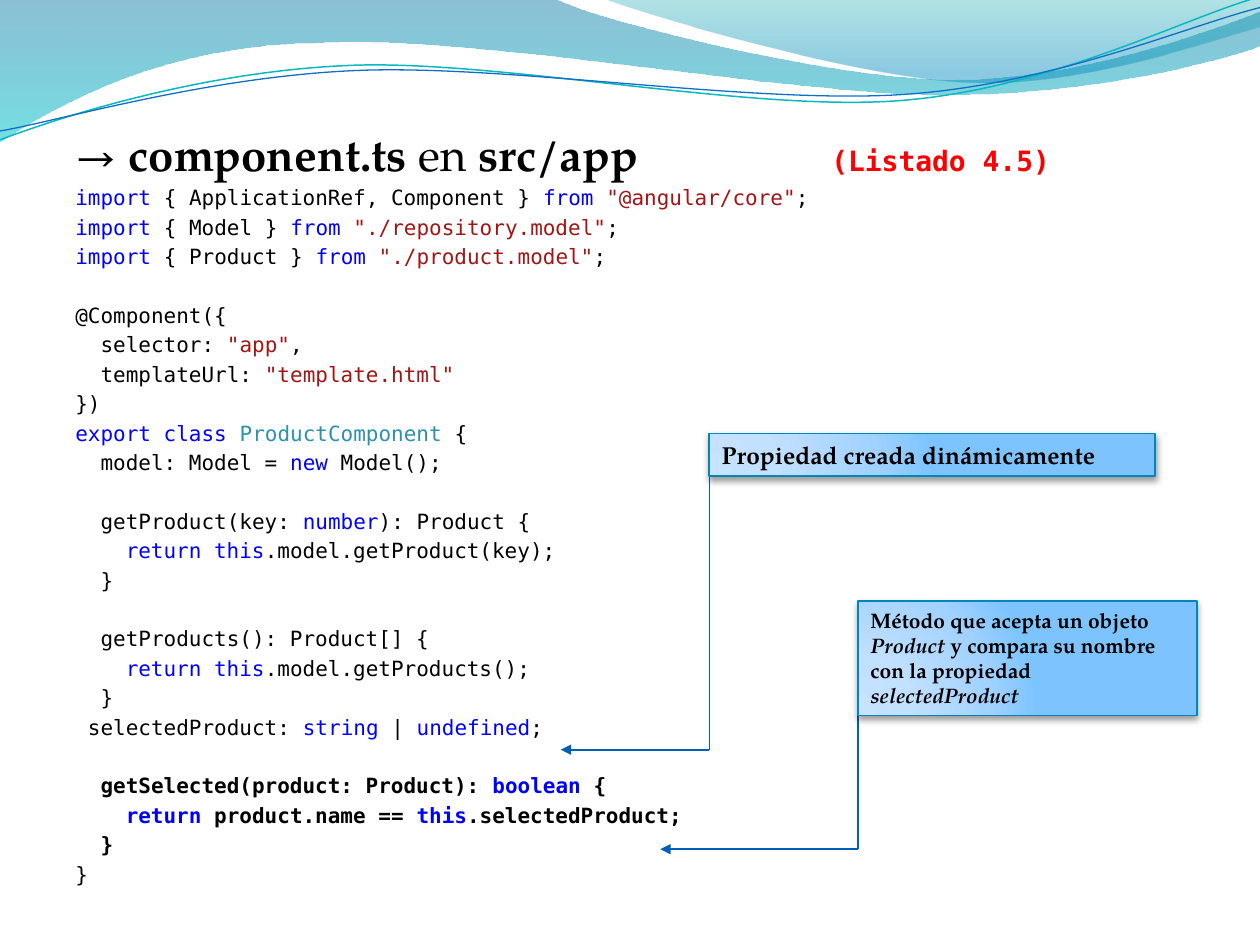
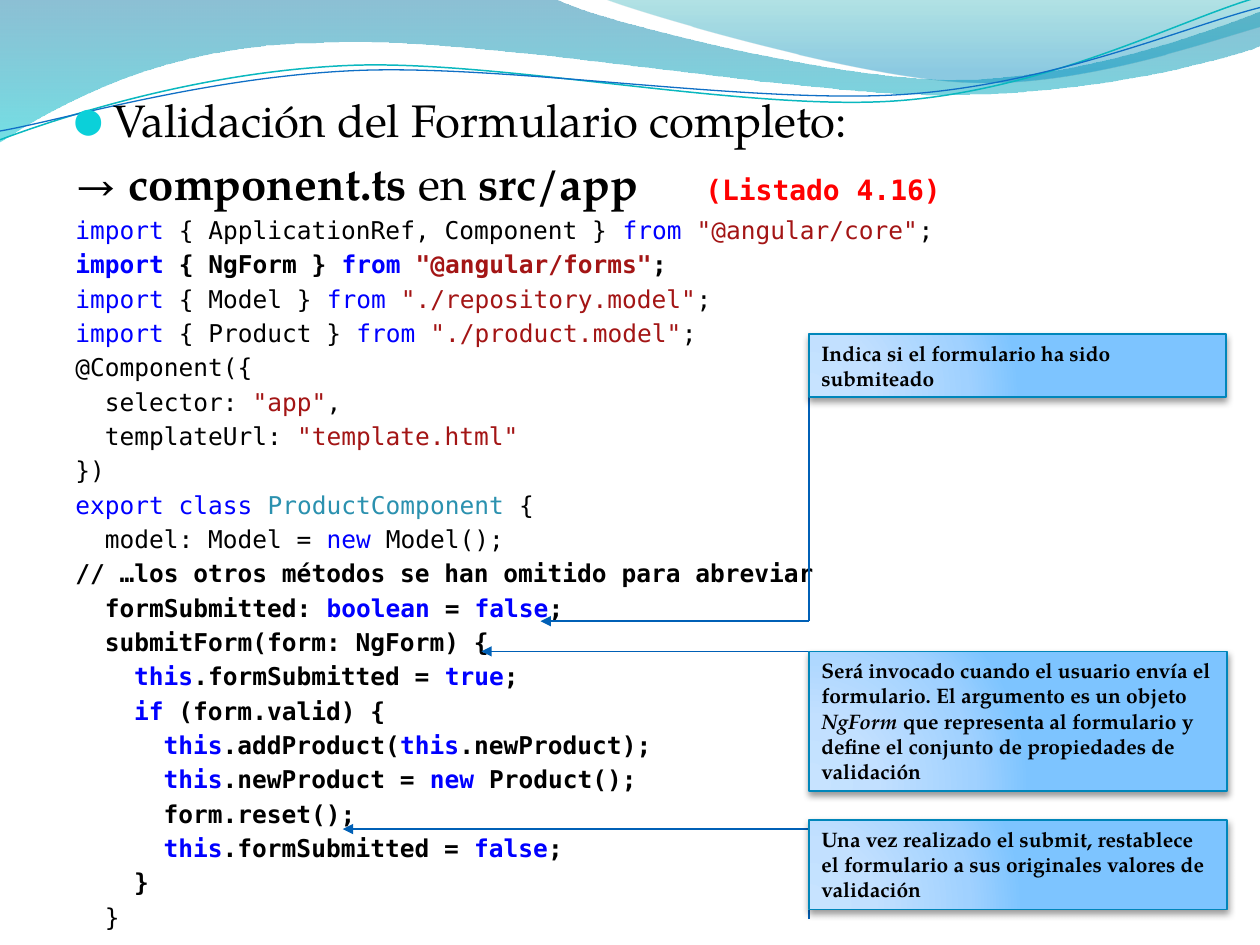
from itertools import groupby
from lxml.etree import SubElement as Sub
from pptx import Presentation
from pptx.dml.color import RGBColor as Rgb
from pptx.enum.shapes import MSO_CONNECTOR as Conn, MSO_SHAPE as Kind
from pptx.enum.text import MSO_ANCHOR as Anchor, PP_ALIGN as Align
from pptx.oxml.ns import qn
from pptx.util import Pt

PX = 9144
SERIF = "TeX Gyre Pagella"
MONO = "DejaVu Sans Mono"
HUES = {
    "ink": "000000", "word": "0000FF", "quote": "A31515", "type": "2B91AF",
    "list": "FF0000", "dot": "0BD0D9", "arrow": "0060B6", "edge": "0086BA",
    "teal": "0AB8BF", "blue": "0F6FC6",
}
WORDS = set("import from export class new number return this string "
            "undefined boolean true false if".split())
TYPES = {"ProductComponent"}
GLOW = [(0, "C7E3FF", 100), (30, "C2E0FF", 100), (75, "A0D1FF", 100), (100, "7DC4FF", 100)]
BANDS = [
    ([(0, -1), (440, -1),
      (476, 17, 664, 63, 758, 63), (853, 63, 958, 26, 1000, 9), (1001, 36),
      (983, 44, 870, 76, 746, 75), (622, 75, 382, 28, 257, 34),
      (129, 35, 46, 83, -1, 113), (0, -1)],
     [(0, "0074A1", 45), (100, "00C6CF", 55)]),
    ([(479, -1), (509, 11, 682, 62, 769, 65), (856, 69, 961, 32, 1000, 21),
      (1000, 0), (479, -1)],
     [(0, "00A1A9", 30), (80, "008BBF", 45)]),
]
WAVES = [
    ([(0, 111), (48, 93, 158, 57, 277, 52), (395, 47, 593, 89, 713, 80),
      (833, 71, 938, 15, 998, -2)], "teal", 0.85),
    ([(0, 104), (47, 96, 164, 61, 283, 56), (403, 51, 597, 83, 717, 75),
      (836, 67, 941, 21, 1000, 6)], "blue", 0.75),
]

LIST_A = '''\
import { ApplicationRef, Component } from "@angular/core";
import { Model } from "./repository.model";
import { Product } from "./product.model";

@Component({
  selector: "app",
  templateUrl: "template.html"
})
export class ProductComponent {
  model: Model = new Model();

  getProduct(key: number): Product {
    return this.model.getProduct(key);
  }

  getProducts(): Product[] {
    return this.model.getProducts();
  }
 selectedProduct: string | undefined;

*  getSelected(product: Product): boolean {
*    return product.name == this.selectedProduct;
*  }
}'''

LIST_B = '''\
import { ApplicationRef, Component } from "@angular/core";
*import { NgForm } from "@angular/forms";
import { Model } from "./repository.model";
import { Product } from "./product.model";
@Component({
  selector: "app",
  templateUrl: "template.html"
})
export class ProductComponent {
  model: Model = new Model();
*// …los otros métodos se han omitido para abreviar
*  formSubmitted: boolean = false;
*  submitForm(form: NgForm) {
*    this.formSubmitted = true;
*    if (form.valid) {
*      this.addProduct(this.newProduct);
*      this.newProduct = new Product();
*      form.reset();
*      this.formSubmitted = false;
*    }
  }'''


def write(par, text, size=12, font=SERIF, hue="ink", bold=False, slant=False):
    run = par.add_run()
    run.text = text
    face = run.font
    face.size, face.name, face.bold, face.italic = Pt(size), font, bold, slant
    face.color.rgb = Rgb.from_string(HUES[hue])


def tone(token):
    return "word" if token in WORDS else "type" if token in TYPES else "ink"


def tokens(line):
    hue = "ink"
    for at, part in enumerate(line.split('"')):
        if at % 2:
            yield "quote", f'"{part}"'
            continue
        for _, chars in groupby(part, str.isalnum):
            token = "".join(chars)
            hue = hue if token == " " else tone(token)
            yield hue, token


class Deck:
    def __init__(self):
        self.show = Presentation()
        self.show.slide_width, self.show.slide_height = 1000 * PX, 750 * PX
        self.shapes = None

    def page(self):
        self.shapes = self.show.slides.add_slide(self.show.slide_layouts[6]).shapes
        for steps, stops in BANDS:
            band = self.curve(steps, True)
            self.blend(band, stops)
            band.line.fill.background()
        for steps, hue, width in WAVES:
            wave = self.curve(steps, False)
            wave.fill.background()
            self.stroke(wave, hue, width)

    def curve(self, steps, close):
        build = self.shapes.build_freeform(*steps[0], scale=PX)
        for step in steps[1:]:
            build.add_line_segments(list(zip(step[::2], step[1::2])), close=False)
        shape = build.convert_to_shape()
        shape.shadow.inherit = False
        route = next(shape._element.iter(qn("a:path")))
        legs = iter(list(route)[1:])
        for step in steps[1:]:
            leg = next(legs)
            if len(step) == 6:
                leg.tag = qn("a:cubicBezTo")
                for _ in range(2):
                    more = next(legs)
                    leg.append(more[0])
                    route.remove(more)
        if close:
            Sub(route, qn("a:close"))
        return shape

    def stroke(self, shape, hue, width=1):
        shape.line.color.rgb = Rgb.from_string(HUES[hue])
        shape.line.width = Pt(width)

    def blend(self, shape, stops, glow=False):
        shape.fill.gradient()
        grad = shape._element.spPr.find(qn("a:gradFill"))
        for child in list(grad):
            grad.remove(child)
        group = Sub(grad, qn("a:gsLst"))
        for pos, hue, alpha in stops:
            stop = Sub(group, qn("a:gs"), pos=str(pos * 1000))
            color = Sub(stop, qn("a:srgbClr"), val=hue)
            if alpha < 100:
                Sub(color, qn("a:alpha"), val=str(alpha * 1000))
        if glow:
            route = Sub(grad, qn("a:path"), path="circle")
            Sub(route, qn("a:fillToRect"), l="5000", t="100000", r="120000", b="10000")
        else:
            Sub(grad, qn("a:lin"), ang="5400000", scaled="0")

    def line(self, start, end, tip=False):
        ends = [n * PX for n in start + end]
        line = self.shapes.add_connector(Conn.STRAIGHT, *ends)
        self.stroke(line, "arrow")
        if tip:
            Sub(line.line._get_or_add_ln(), qn("a:tailEnd"), type="triangle")
        Sub(line._element.spPr, qn("a:effectLst"))

    def note(self, x, y, w, h, text, tip, end, size=12):
        self.line((x, tip[1]), tip, True)
        self.line((x, tip[1]), (x, end))
        box = self.shapes.add_shape(Kind.RECTANGLE, x * PX, y * PX, w * PX, h * PX)
        self.blend(box, GLOW, True)
        self.stroke(box, "edge")
        box.shadow.inherit = False
        cast = Sub(box._element.spPr.find(qn("a:effectLst")), qn("a:outerShdw"),
                   blurRad="50800", dist="25400", dir="5400000", rotWithShape="0")
        color = Sub(cast, qn("a:srgbClr"), val=HUES["ink"])
        Sub(color, qn("a:alpha"), val="40000")
        frame = box.text_frame
        frame.word_wrap = True
        frame.vertical_anchor = Anchor.TOP
        par = frame.paragraphs[0]
        par.alignment = Align.LEFT
        for at, part in enumerate(text.split("_")):
            if part:
                write(par, part, size=size, bold=True, slant=at % 2 == 1)

    def body(self, y, h, top=5):
        box = self.shapes.add_textbox(50 * PX, y * PX, 900 * PX, h * PX)
        box.text_frame.word_wrap = True
        box.text_frame.margin_top = top * PX
        return box.text_frame

    def row(self, frame, size, skip=0):
        par = frame.paragraphs[0]
        if par.runs:
            par = frame.add_paragraph()
            par.space_before = Pt(size * (0.2 + 1.4 * skip))
        return par

    def point(self, frame, text):
        par = self.row(frame, 26)
        props = par._p.get_or_add_pPr()
        props.set("marL", str(30 * PX))
        props.set("indent", str(-30 * PX))
        Sub(Sub(props, qn("a:buClr")), qn("a:srgbClr"), val=HUES["dot"])
        Sub(props, qn("a:buSzPct"), val="95000")
        Sub(props, qn("a:buFont"), typeface=MONO)
        Sub(props, qn("a:buChar"), char="●")
        write(par, text, size=26)

    def head(self, frame, label, stop):
        par = self.row(frame, 26)
        tabs = Sub(par._p.get_or_add_pPr(), qn("a:tabLst"))
        Sub(tabs, qn("a:tab"), pos=str(stop * PX), algn="l")
        for at, part in enumerate(("→ ", "component.ts ", "en ", "src/app\t")):
            write(par, part, size=26, bold=at % 2 == 1)
        write(par, label, size=16, font=MONO, hue="list", bold=True)

    def code(self, frame, text, size):
        skip = 0
        for row in text.split("\n"):
            if not row:
                skip += 1
                continue
            bold = row[0] == "*"
            row = row.lstrip("*")
            line = row.lstrip()
            par = self.row(frame, size, skip)
            props = par._p.get_or_add_pPr()
            props.set("marL", str(Pt((len(row) - len(line)) * size * 0.6)))
            props.set("indent", "0")
            for hue, group in groupby(tokens(line), lambda pair: pair[0]):
                part = "".join(token for _, token in group)
                write(par, part, size=size, font=MONO, hue=hue, bold=bold)
            skip = 0


def main():
    deck = Deck()

    deck.page()
    frame = deck.body(44, 647, top=56)
    deck.head(frame, "(Listado 4.5)", 600)
    deck.code(frame, LIST_A, 12)
    deck.note(563, 344, 354, 34, "Propiedad creada dinámicamente", (445, 595), 377, size=14)
    deck.note(681, 477, 269, 91, "Método que acepta un objeto _Product_ y compara su nombre "
              "con la propiedad _selectedProduct_", (524, 674), 477)

    deck.page()
    frame = deck.body(68, 624)
    deck.point(frame, "Validación del Formulario completo:")
    deck.head(frame, "(Listado 4.16)", 500)
    deck.code(frame, LIST_B, 14)
    deck.note(642, 265, 331, 50, "Indica si el formulario ha sido submiteado", (429, 493), 265)
    deck.note(642, 517, 332, 111, "Será invocado cuando el usuario envía el formulario. "
              "El argumento es un objeto _NgForm_ que representa al formulario y define "
              "el conjunto de propiedades de validación", (382, 517), 628)
    deck.note(642, 651, 332, 71, "Una vez realizado el submit, restablece el formulario a sus "
              "originales valores de validación", (272, 658), 729)

    deck.show.save("out.pptx")


if __name__ == "__main__":
    main()
